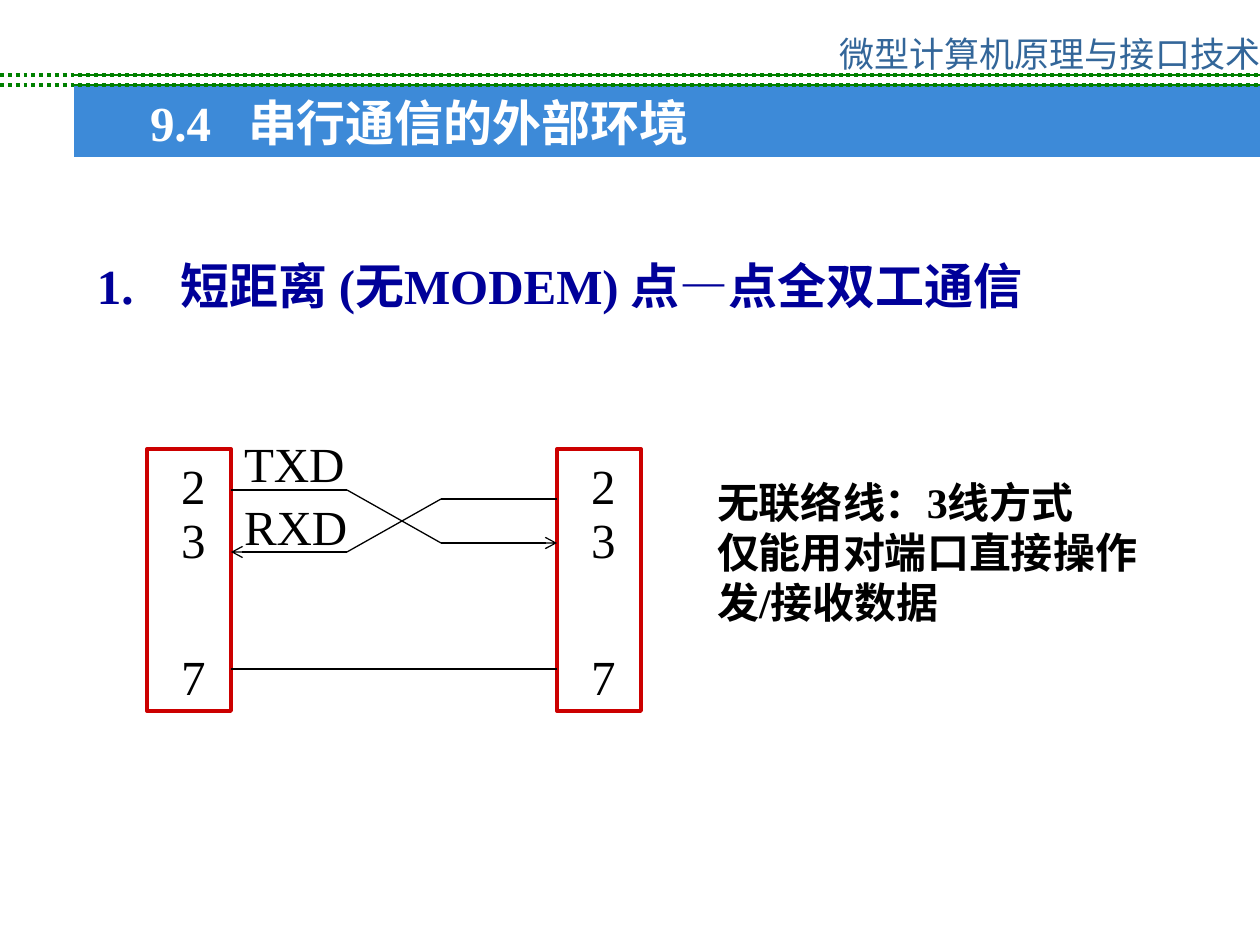
import pptx
import pptx.util
import pptx.dml.color
import pptx.enum.shapes
import pptx.enum.text
import pptx.oxml
import pptx.oxml.ns

PX = 914400 / 126
COLORS = {
    "green": "008000",
    "header": "336699",
    "banner": "0066CC",
    "white": "FFFFFF",
    "navy": "000099",
    "red": "CC0000",
    "black": "000000",
}
LATIN = "Times New Roman"
CHINESE = "Noto Sans CJK SC"

deck = pptx.Presentation()
deck.slide_width = round(1260 * PX)
deck.slide_height = round(945 * PX)
page = deck.slides.add_slide(deck.slide_layouts[5])


def write(text, at, box=None, size=28, color="black", bold=False, font=LATIN,
          wrap=True, align="LEFT", tab=None, inset=13):
    left, top, width, height = [round(value * PX) for value in at]
    if box is None:
        box = page.shapes.add_textbox(left, top, width, height)
    box.left, box.top, box.width, box.height = left, top, width, height
    frame = box.text_frame
    frame.word_wrap = wrap
    frame.auto_size = pptx.enum.text.MSO_AUTO_SIZE.NONE
    frame.vertical_anchor = pptx.enum.text.MSO_ANCHOR.TOP
    frame.margin_left = round(inset * PX)
    frame.margin_right = round(13 * PX)
    frame.margin_top = frame.margin_bottom = round(6 * PX)
    frame.text = text
    for para in frame.paragraphs:
        para.alignment = getattr(pptx.enum.text.PP_ALIGN, align)
        if tab:
            stops = pptx.oxml.parse_xml(
                f'<a:tabLst {pptx.oxml.ns.nsdecls("a")}>'
                f'<a:tab pos="{round(tab * PX)}" algn="l"/></a:tabLst>')
            para._p.get_or_add_pPr().append(stops)
        for span in para.runs:
            span.font.size = pptx.util.Pt(size)
            span.font.bold = bold
            span.font.name = font
            span.font.color.rgb = pptx.dml.color.RGBColor.from_string(COLORS[color])
            east = pptx.oxml.parse_xml(
                f'<a:ea {pptx.oxml.ns.nsdecls("a")} typeface="{CHINESE}"/>')
            span.font._element.find(pptx.oxml.ns.qn("a:latin")).addnext(east)


def draw_line(x1, y1, x2, y2, color="black", weight=0.75, dash=None, arrow=None):
    line = page.shapes.add_connector(
        pptx.enum.shapes.MSO_CONNECTOR.STRAIGHT,
        *[round(value * PX) for value in (x1, y1, x2, y2)])
    line.line.color.rgb = pptx.dml.color.RGBColor.from_string(COLORS[color])
    line.line.width = pptx.util.Pt(weight)
    if dash:
        line.line.dash_style = dash
    if arrow:
        line.line._get_or_add_ln().append(pptx.oxml.parse_xml(
            f'<a:{arrow} {pptx.oxml.ns.nsdecls("a")} type="arrow"/>'))
    line._element.spPr.append(pptx.oxml.parse_xml(
        f'<a:effectLst {pptx.oxml.ns.nsdecls("a")}/>'))


title = page.shapes.title
title.fill.solid()
title.fill.fore_color.rgb = pptx.dml.color.RGBColor.from_string(COLORS["banner"])
title.fill._xPr.find(".//" + pptx.oxml.ns.qn("a:srgbClr")).append(
    pptx.oxml.parse_xml(f'<a:alpha {pptx.oxml.ns.nsdecls("a")} val="76000"/>'))
write("9.4\t串行通信的外部环境", (74, 86, 1186, 71), box=title,
      color="white", bold=True, tab=98, inset=76)

write("微型计算机原理与接口技术", (878, 26, 344, 30), size=20, color="header",
      font=CHINESE, wrap=False, align="CENTER")
for y in (75, 85):
    draw_line(74, y, 1260, y, color="green")
    draw_line(0, y, 1260, y, color="green", weight=2.25,
              dash=pptx.enum.dml.MSO_LINE.ROUND_DOT)

write("1.\t短距离 (无MODEM) 点—点全双工通信", (84, 249, 1103, 72),
      color="navy", bold=True, tab=84)

for left in (147, 557):
    port = page.shapes.add_shape(
        pptx.enum.shapes.MSO_SHAPE.RECTANGLE,
        *[round(value * PX) for value in (left, 449, 84, 262)])
    port.shadow.inherit = False
    port.fill.background()
    port.line.color.rgb = pptx.dml.color.RGBColor.from_string(COLORS["red"])
    port.line.width = pptx.util.Pt(2.25)
    for pin, top in (("2", 449), ("3", 503), ("7", 640)):
        write(pin, (left + 21, top, 84, 72))

for signal, top in (("TXD", 427), ("RXD", 490)):
    write(signal, (231, top, 158, 72))

for x1, y1, x2, y2, arrow in (
    (231, 490, 347, 490, None),
    (347, 490, 441, 543, None),
    (441, 543, 557, 543, "tailEnd"),
    (441, 499, 557, 499, None),
    (347, 552, 441, 499, None),
    (231, 552, 347, 552, "headEnd"),
    (231, 669, 557, 669, None),
):
    draw_line(x1, y1, x2, y2, arrow=arrow)

write("无联络线：3线方式\n仅能用对端口直接操作发/接收数据", (704, 470, 483, 194),
      size=24, bold=True)

deck.save("out.pptx")
